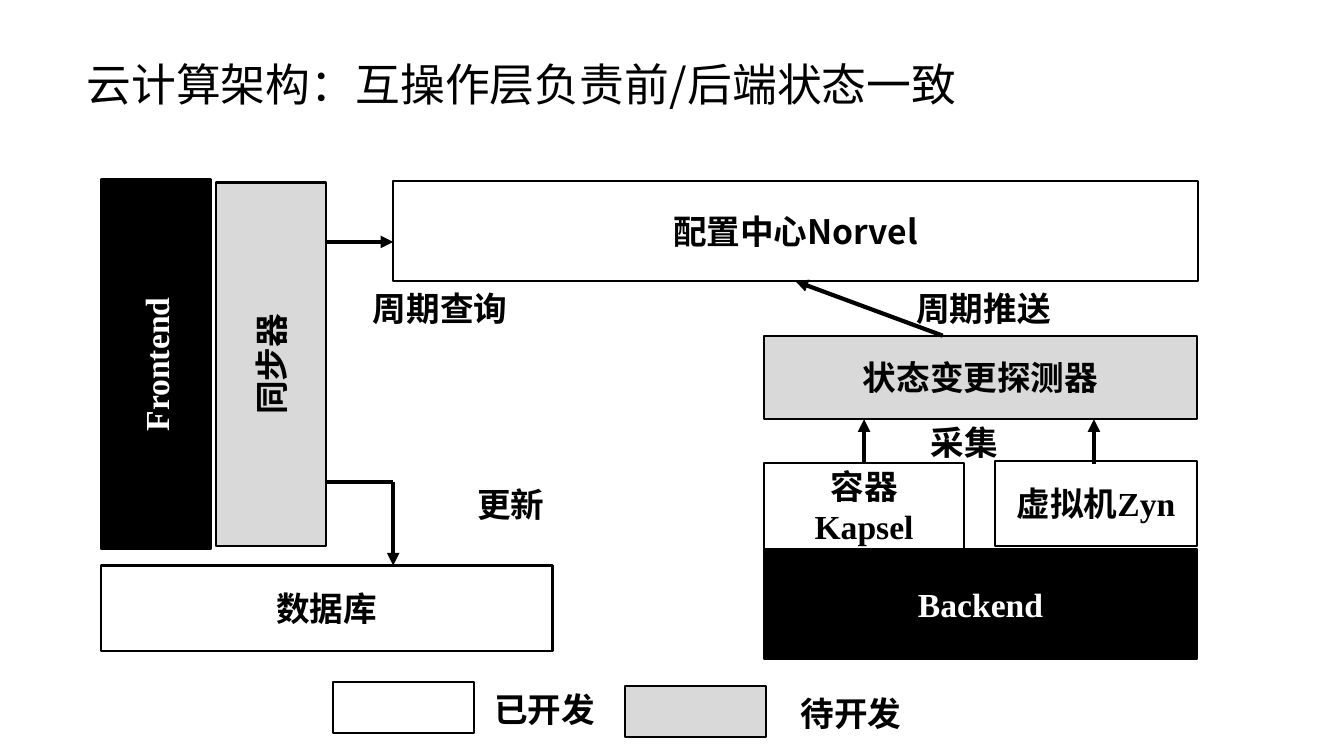
from pptx import Presentation
from pptx.dml.color import RGBColor
from pptx.enum.shapes import MSO_CONNECTOR, MSO_SHAPE
from pptx.enum.text import MSO_ANCHOR, PP_ALIGN
from pptx.oxml.ns import qn
from pptx.util import Inches, Pt
from lxml import etree

BLACK = RGBColor(0x00, 0x00, 0x00)
WHITE = RGBColor(0xFF, 0xFF, 0xFF)
GRAY = RGBColor(0xD9, 0xD9, 0xD9)
SANS, SERIF = "Noto Sans CJK SC", "Times New Roman"
RECT, LINE = MSO_SHAPE.RECTANGLE, MSO_CONNECTOR.STRAIGHT
MIDDLE, CENTER, LEFT = MSO_ANCHOR.MIDDLE, PP_ALIGN.CENTER, PP_ALIGN.LEFT

BOLD = {"size": Pt(24), "bold": True}
HEAD = {"size": Pt(32), "bold": False}


def write(shape, lines, color=BLACK, form=BOLD, align=CENTER):
    """Each line is a list of (text, font) runs."""
    frame = shape.text_frame
    frame.word_wrap = True
    frame.vertical_anchor = MIDDLE
    for i, line in enumerate(lines):
        para = frame.paragraphs[0] if i == 0 else frame.add_paragraph()
        para.alignment = align
        for text, face in line:
            run = para.add_run()
            run.text = text
            for key, value in {**form, "name": face}.items():
                setattr(run.font, key, value)
            run.font.color.rgb = color
            east = etree.SubElement(run.font._element, qn("a:ea"))
            east.set("typeface", SANS)


def block(slide, x, y, w, h, fill, lines=(), turn=False):
    """Draw a box; a turned one reads from bottom to top."""
    if turn:
        x, y, w, h = x + (w - h) / 2, y + (h - w) / 2, h, w
    shape = slide.shapes.add_shape(RECT, *map(Inches, (x, y, w, h)))
    shape.shadow.inherit = False
    shape.rotation = 270 if turn else 0
    shape.fill.solid()
    shape.fill.fore_color.rgb = fill
    shape.line.color.rgb = BLACK
    shape.line.width = Pt(1.5)
    if lines:
        write(shape, lines, WHITE if fill == BLACK else BLACK)


def label(slide, x, y, w, h, text, **style):
    shape = slide.shapes.add_textbox(*map(Inches, (x, y, w, h)))
    write(shape, [[(text, SANS)]], **style)
    return shape


def arrow(slide, x1, y1, x2, y2, tip=True):
    line = slide.shapes.add_connector(LINE, *map(Inches, (x1, y1, x2, y2)))
    line.line.color.rgb = BLACK
    line.line.width = Pt(3)
    if tip:
        etree.SubElement(line.line._get_or_add_ln(), qn("a:tailEnd")).set("type", "triangle")
    etree.SubElement(line._element.spPr, qn("a:effectLst"))


def title(slide, x, y, w, h):
    shape = label(slide, x, y, w, h, "云计算架构：互操作层负责前/后端状态一致",
                  form=HEAD, align=LEFT)
    shape.text_frame.paragraphs[0].line_spacing = 0.9


def center(slide, x, y, w, h):
    block(slide, x, y, w, h, WHITE, [[("配置中心Norvel", SANS)]])


def front(slide, x, y, w, h):
    # Frontend, synchroniser and database
    block(slide, x, y, 1.09, 3.67, BLACK, [[("Frontend", SERIF)]], turn=True)
    block(slide, x + 1.14, y + 0.03, 1.09, 3.61, GRAY, [[("同步器", SANS)]], turn=True)
    base = y + h - 0.85
    block(slide, x, base, w, 0.85, WHITE, [[("数据库", SERIF)]])
    # Query arrow, then the bent update arrow
    edge, bend = x + 2.24, x + 2.9
    arrow(slide, edge, y + 0.62, bend, y + 0.62)
    arrow(slide, edge, y + 3, bend, y + 3, tip=False)
    arrow(slide, bend, y + 3, bend, base)
    label(slide, edge, y + 1.07, 2.25, 0.42, "周期查询")
    label(slide, x + 3.05, y + 3.03, 2.03, 0.38, "更新")


def back(slide, x, y, w, h):
    # Backend with its two runtimes, below the detector
    block(slide, x, y + h - 1.09, w, 1.09, BLACK, [[("Backend", SERIF)]])
    block(slide, x, y + 1.8, 1.98, 0.86, WHITE, [[("容器", SANS)], [("Kapsel", SERIF)]])
    block(slide, x + w - 2, y + 1.78, 2, 0.85, WHITE, [[("虚拟机", SANS), ("Zyn", SERIF)]])
    block(slide, x, y + 0.54, w, 0.83, GRAY, [[("状态变更探测器", SANS)]])
    # Collecting arrows and the push to the centre
    for dx in (0.99, 3.27):
        arrow(slide, x + dx, y + 1.81, x + dx, y + 1.37)
    arrow(slide, x + 1.77, y + 0.54, x + 0.31, y)
    label(slide, x + 0.86, y + 1.39, 2.25, 0.42, "采集")
    label(slide, x + 1.05, y + 0.06, 2.25, 0.42, "周期推送")


def legend(slide, x, y, w, h):
    keys = [(WHITE, "已开发", 1.41), (GRAY, "待开发", 1.55)]
    for i, (fill, text, gap) in enumerate(keys):
        left, top = x + i * w / 2, y + i * 0.04
        block(slide, left, top, 1.4, h, fill)
        label(slide, left + gap, top + 0.05, 1.38, 0.42, text)


def main():
    deck = Presentation()
    deck.slide_width, deck.slide_height = Inches(13.33), Inches(7.5)
    slide = deck.slides.add_slide(deck.slide_layouts[6])
    title(slide, 0.76, 0.14, 11.91, 1.45)
    center(slide, 3.9, 1.8, 7.98, 0.99)
    front(slide, 1, 1.78, 4.48, 4.68)
    back(slide, 7.58, 2.79, 4.29, 3.75)
    legend(slide, 3.3, 6.77, 5.8, 0.5)
    deck.save("out.pptx")


if __name__ == "__main__":
    main()
